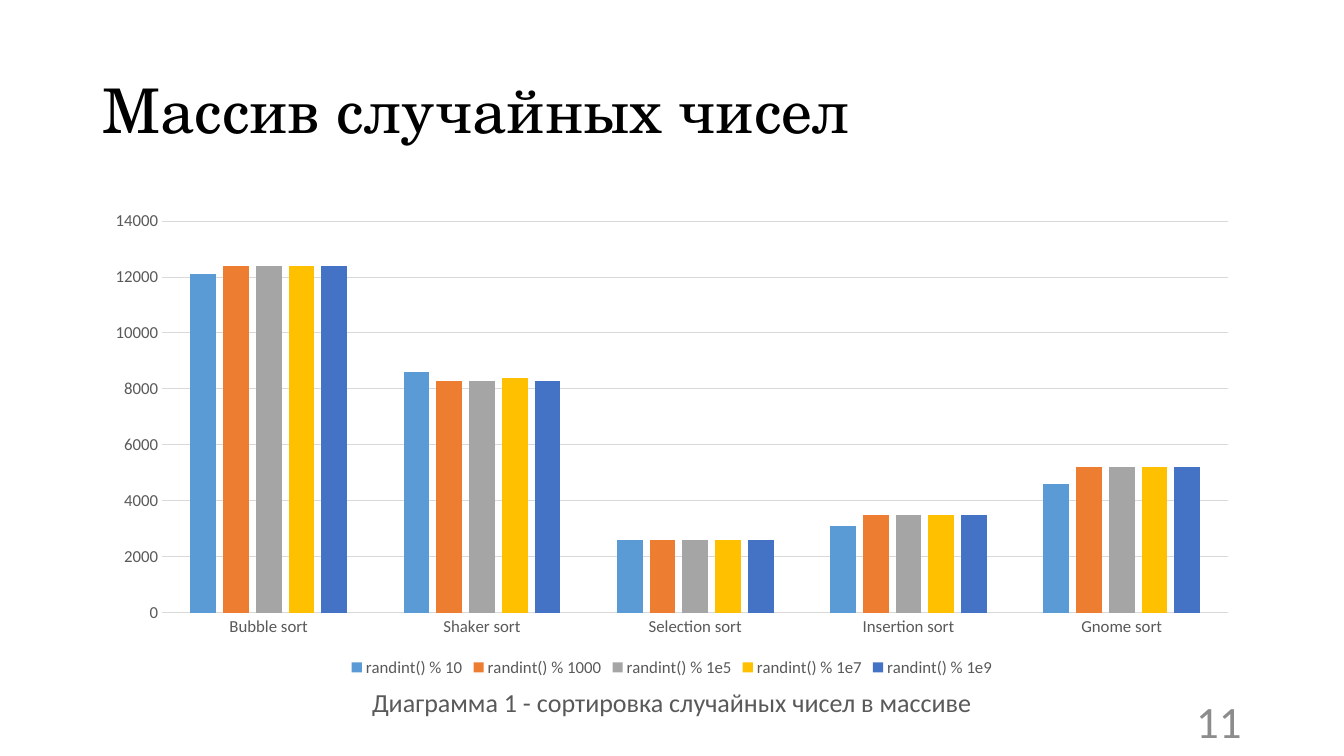
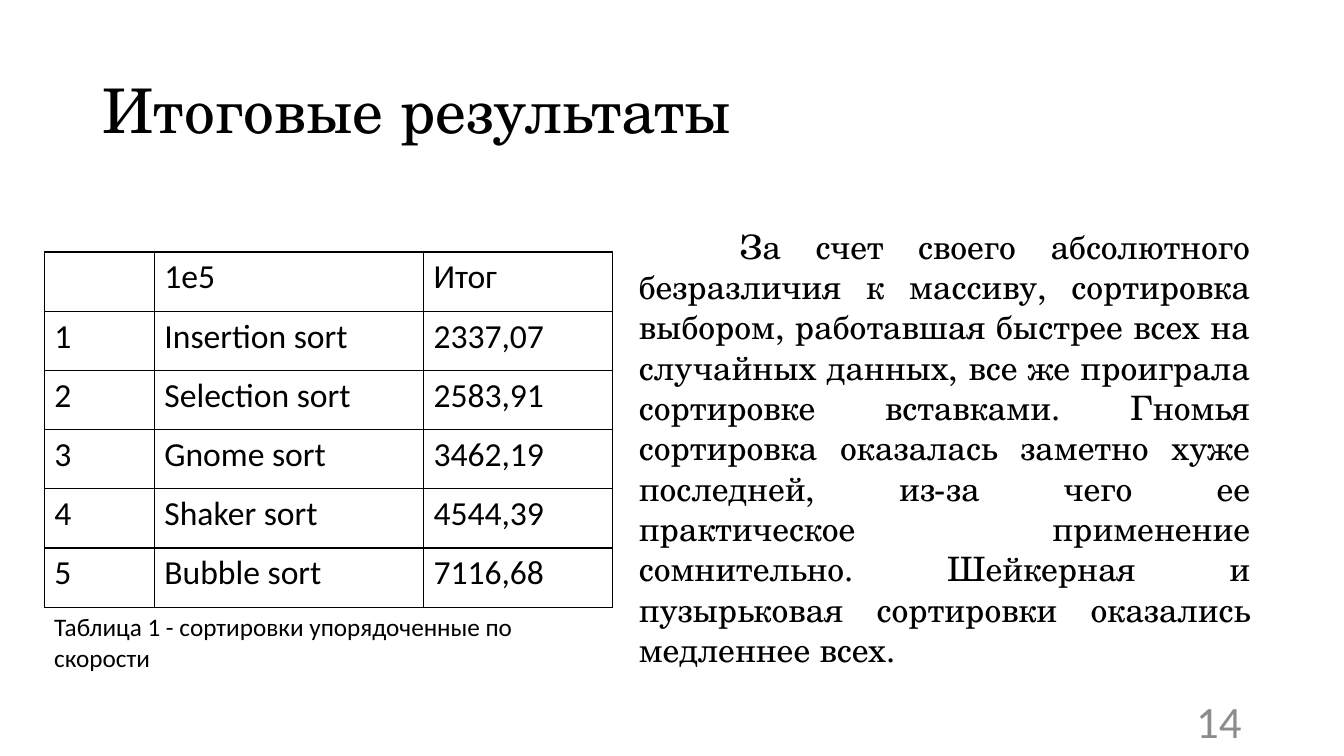
import pptx
import pptx.chart.data
import pptx.dml.color
import pptx.enum.chart
import pptx.enum.text
import pptx.oxml
import pptx.oxml.ns
import pptx.util

Pt = pptx.util.Pt
ALIGN = pptx.enum.text.PP_ALIGN
ANCHOR = pptx.enum.text.MSO_ANCHOR

COLORS = {"text": "000000", "muted": "595959", "number": "8C8C8C", "grid": "D9D9D9"}
SERIF, SANS = "TeX Gyre Schola", "Calibri"
SLIDE_SIZE = (960, 540)
TITLE_BOX = (66, 28.8, 828, 104.4)
NUMBER_BOX = (678, 500.4, 216, 28.8)

CHART_TITLE = "Массив случайных чисел"
CHART_CAPTION = "Диаграмма 1 - сортировка случайных чисел в массиве"
CHART_BOX = (66, 144, 828, 342.72)
CHART_CAPTION_BOX = (254.16, 486.72, 451.44, 29.5)
SORTS = ["Bubble sort", "Shaker sort", "Selection sort", "Insertion sort", "Gnome sort"]
SERIES = [
    ("randint() % 10", "5B9BD5", (12100, 8600, 2600, 3100, 4600)),
    ("randint() % 1000", "ED7D31", (12400, 8300, 2600, 3500, 5200)),
    ("randint() % 1e5", "A5A5A5", (12400, 8300, 2600, 3500, 5200)),
    ("randint() % 1e7", "FFC000", (12400, 8400, 2600, 3500, 5200)),
    ("randint() % 1e9", "4472C4", (12400, 8300, 2600, 3500, 5200)),
]

RESULTS_TITLE = "Итоговые результаты"
RESULTS_CAPTION = "Таблица 1 - сортировки упорядоченные по скорости"
RESULTS_CAPTION_BOX = (31.68, 433.44, 406.08, 51.12)
CONCLUSION = (
    "За счет своего абсолютного безразличия к массиву, сортировка выбором, "
    "работавшая быстрее всех на случайных данных, все же проиграла сортировке "
    "вставками. Гномья сортировка оказалась заметно хуже последней, из-за чего "
    "ее практическое применение сомнительно. Шейкерная и пузырьковая сортировки "
    "оказались медленнее всех."
)
CONCLUSION_BOX = (449.28, 157.68, 450.72, 298.08)
TABLE_ORIGIN = (31.68, 180)
COLUMN_WIDTHS = (78.6, 192.2, 135.2)
ROW_HEIGHT = 42.3
RESULTS = [
    ("", "1e5", "Итог"),
    ("1", "Insertion sort", "2337,07"),
    ("2", "Selection sort", "2583,91"),
    ("3", "Gnome sort", "3462,19"),
    ("4", "Shaker sort", "4544,39"),
    ("5", "Bubble sort", "7116,68"),
]


def rgb(hex_color):
    return pptx.dml.color.RGBColor.from_string(hex_color)


def points(box):
    return [Pt(value) for value in box]


def set_font(font, name, size, color):
    font.name, font.size = name, Pt(size)
    font.color.rgb = rgb(COLORS[color])


def add_text(slide, box, text, size, font=SANS, color="text", align=ALIGN.LEFT,
             anchor=ANCHOR.TOP, wrap=True):
    frame = slide.shapes.add_textbox(*points(box)).text_frame
    frame.word_wrap = wrap
    frame.vertical_anchor = anchor
    paragraph = frame.paragraphs[0]
    paragraph.text = text
    paragraph.alignment = align
    set_font(paragraph.font, font, size, color)
    return paragraph


def add_slide(presentation, title, number):
    """Add a slide with the shared title style and page number."""
    slide = presentation.slides.add_slide(presentation.slide_layouts[5])
    shape = slide.shapes.title
    shape.left, shape.top, shape.width, shape.height = points(TITLE_BOX)
    shape.text_frame.text = title
    shape.text_frame.vertical_anchor = ANCHOR.MIDDLE
    paragraph = shape.text_frame.paragraphs[0]
    paragraph.alignment = ALIGN.LEFT
    paragraph.line_spacing = 0.9
    set_font(paragraph.font, SERIF, 44, "text")
    add_text(slide, NUMBER_BOX, str(number), 32, color="number",
             align=ALIGN.RIGHT, anchor=ANCHOR.MIDDLE)
    return slide


def add_sort_chart(slide):
    data = pptx.chart.data.CategoryChartData()
    data.categories = SORTS
    for name, _, values in SERIES:
        data.add_series(name, values)
    chart = slide.shapes.add_chart(
        pptx.enum.chart.XL_CHART_TYPE.COLUMN_CLUSTERED, *points(CHART_BOX), data).chart
    set_font(chart.font, SANS, 12, "muted")
    chart.has_title = False
    chart.has_legend = True
    chart.legend.position = pptx.enum.chart.XL_LEGEND_POSITION.BOTTOM
    chart.legend.include_in_layout = False
    set_font(chart.legend.font, SANS, 12, "muted")

    plot = chart.plots[0]
    plot.gap_width, plot.overlap = 219, -27
    plot.vary_by_categories = False
    for series, (_, color, _) in zip(plot.series, SERIES):
        series.format.fill.solid()
        series.format.fill.fore_color.rgb = rgb(color)

    values, categories = chart.value_axis, chart.category_axis
    for axis in (values, categories):
        axis.major_tick_mark = pptx.enum.chart.XL_TICK_MARK.NONE
        set_font(axis.tick_labels.font, SANS, 12, "muted")
    values.minimum_scale, values.maximum_scale, values.major_unit = 0, 14000, 2000
    values.format.line.fill.background()
    for line in (values.major_gridlines.format.line, categories.format.line):
        line.color.rgb = rgb(COLORS["grid"])
        line.width = Pt(0.75)


def add_borders(cell):
    properties = cell._tc.get_or_add_tcPr()
    for side in ("lnL", "lnR", "lnT", "lnB"):
        properties.append(pptx.oxml.parse_xml(
            f'<a:{side} {pptx.oxml.ns.nsdecls("a")} w="{Pt(1)}"><a:solidFill>'
            f'<a:srgbClr val="{COLORS["text"]}"/></a:solidFill></a:{side}>'))


def add_results_table(slide):
    size = (sum(COLUMN_WIDTHS), ROW_HEIGHT * len(RESULTS))
    table = slide.shapes.add_table(
        len(RESULTS), len(COLUMN_WIDTHS), *points(TABLE_ORIGIN + size)).table
    table.first_row = table.horz_banding = False
    for column, width in zip(table.columns, COLUMN_WIDTHS):
        column.width = Pt(width)
    for row, texts in zip(table.rows, RESULTS):
        row.height = Pt(ROW_HEIGHT)
        for cell, text in zip(row.cells, texts):
            cell.text = text
            set_font(cell.text_frame.paragraphs[0].font, SANS, 24, "text")
            add_borders(cell)
            cell.fill.background()


def main():
    presentation = pptx.Presentation()
    presentation.slide_width, presentation.slide_height = points(SLIDE_SIZE)

    slide = add_slide(presentation, CHART_TITLE, 11)
    add_sort_chart(slide)
    add_text(slide, CHART_CAPTION_BOX, CHART_CAPTION, 18.6, color="muted",
             align=ALIGN.CENTER, wrap=False)

    slide = add_slide(presentation, RESULTS_TITLE, 14)
    conclusion = add_text(slide, CONCLUSION_BOX, CONCLUSION, 24, font=SERIF,
                          align=ALIGN.JUSTIFY)
    conclusion._p.get_or_add_pPr().set("indent", str(Pt(72)))
    add_results_table(slide)
    add_text(slide, RESULTS_CAPTION_BOX, RESULTS_CAPTION, 18)

    presentation.save("out.pptx")


if __name__ == "__main__":
    main()
